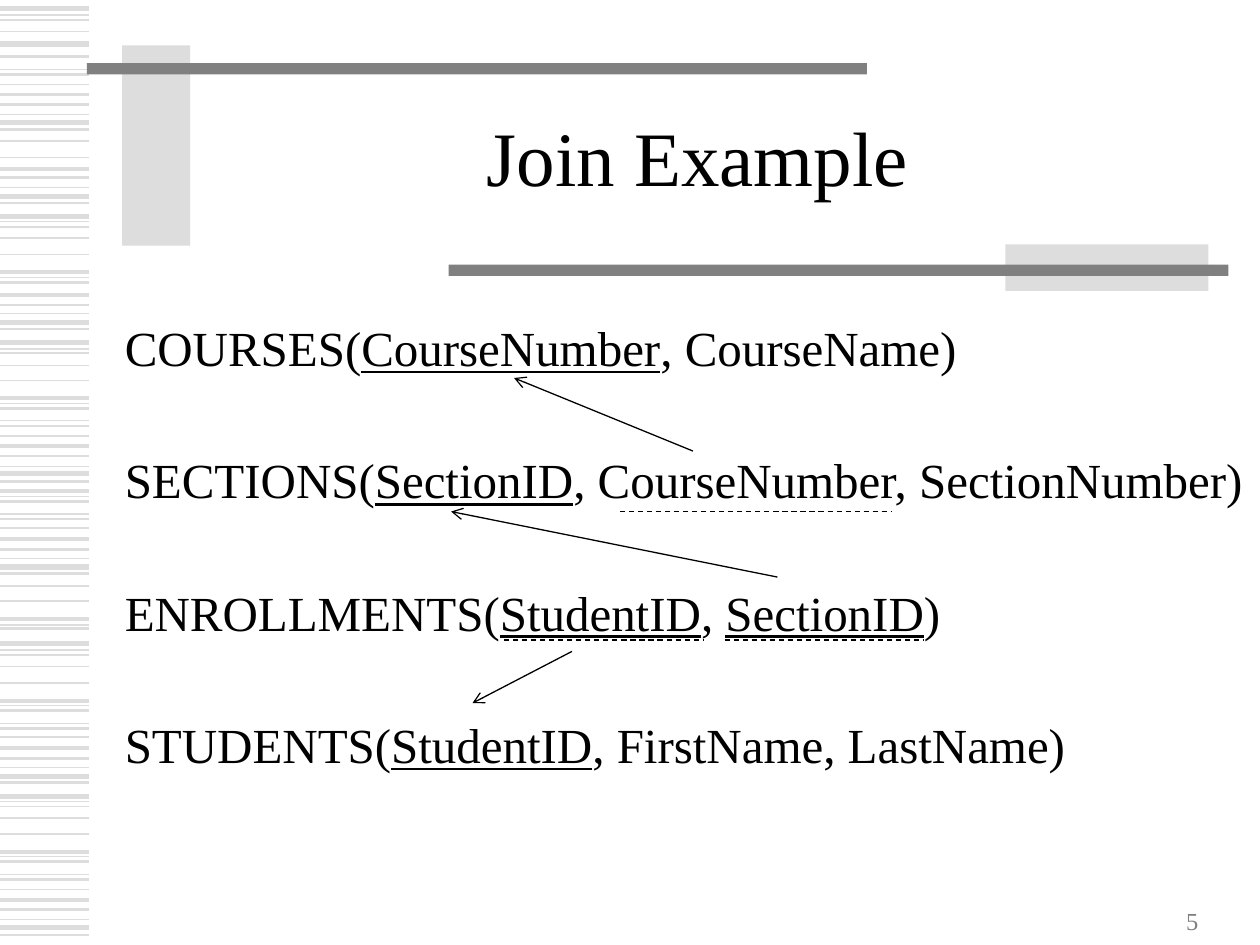
from lxml import etree
from pptx import Presentation
from pptx.dml.color import RGBColor
from pptx.enum.dml import MSO_LINE
from pptx.enum.shapes import MSO_CONNECTOR, MSO_SHAPE
from pptx.enum.text import MSO_ANCHOR, MSO_AUTO_SIZE, PP_ALIGN
from pptx.oxml.ns import qn
from pptx.util import Inches, Pt

STRAIGHT = MSO_CONNECTOR.STRAIGHT
RECTANGLE = MSO_SHAPE.RECTANGLE
DASH = MSO_LINE.DASH
MIDDLE, TOP, BOTTOM = MSO_ANCHOR.MIDDLE, MSO_ANCHOR.TOP, MSO_ANCHOR.BOTTOM
CENTER, LEFT, RIGHT = PP_ALIGN.CENTER, PP_ALIGN.LEFT, PP_ALIGN.RIGHT
FIXED_SIZE = MSO_AUTO_SIZE.NONE

FONT = "Times New Roman"
COLORS = {"text": "000000", "pale": "DDDDDD", "bar": "808080"}

STRIPES = {
    0.75: [0.12, 0.55, 0.91, 1.49, 1.76, 2.2, 2.49, 2.77, 3.2, 3.34, 3.7, 3.94,
           4.08, 4.43, 4.96, 5.16, 5.6, 5.74, 6.09, 6.36, 6.8, 6.94, 7.3],
    1: [0.16, 0.25, 0.67, 1.12, 1.25, 1.8, 1.89, 2.02, 2.8, 2.9, 3.02, 3.46,
        4.19, 4.65, 4.77, 5.2, 5.29, 5.42, 5.85, 6.4, 6.49, 6.62, 7.06],
    1.5: [0.45, 0.59, 0.83, 1.03, 1.41, 1.61, 2.24, 2.42, 2.61, 3.24, 3.38,
          3.62, 3.82, 3.98, 4.12, 4.36, 4.55, 4.99, 5.64, 5.78, 6.02, 6.21,
          6.84, 6.98, 7.22, 7.42],
    2.25: [0.75, 1.34, 2.16, 2.34, 3.16, 3.54, 3.9, 4.28, 4.91, 5.56, 5.94,
           6.76, 7.14],
    3: [0.07, 0.35, 0.97, 1.56, 1.72, 2.56, 2.72, 3.76, 4.5, 5.11, 6.16, 6.32,
        7.36],
}
FRAME = [
    ((0.97, 0.36, 0.54, 1.59), "pale"),
    ((0.69, 0.5, 6.19, 0.09), "bar"),
    ((7.98, 1.94, 1.61, 0.37), "pale"),
    ((3.56, 2.1, 6.19, 0.09), "bar"),
]
RELATIONS = [
    ("COURSES(", "CourseNumber", ", CourseName)"),
    ("SECTIONS(", "SectionID", ", CourseNumber, SectionNumber)"),
    ("ENROLLMENTS(", "StudentID", ", ", "SectionID", ")"),
    ("STUDENTS(", "StudentID", ", FirstName, LastName)"),
]
FOREIGN_KEYS = [(4.92, 7.08, 4.06), (4, 5.58, 5.08), (5.75, 7.33, 5.08)]
REFERENCES = [
    ((5.5, 3.58), (4.08, 3)),
    ((6.17, 4.58), (3.58, 4.06)),
    ((4.54, 5.17), (3.75, 5.58)),
]


def color(name):
    """Return the named colour."""
    return RGBColor.from_string(COLORS[name])


def place(shape, box):
    """Move and size a shape to a box in inches."""
    shape.left, shape.top, shape.width, shape.height = map(Inches, box)


def style_paragraph(paragraph, size, color_name, alignment):
    """Set the font and alignment of a paragraph."""
    paragraph.font.name = FONT
    paragraph.font.size = Pt(size)
    paragraph.font.color.rgb = color(color_name)
    paragraph.alignment = alignment


def add_line(shapes, start, end, color_name, weight=0.75):
    """Draw a straight line without a shadow."""
    line = shapes.add_connector(STRAIGHT, *map(Inches, (*start, *end)))
    line.line.color.rgb = color(color_name)
    line.line.width = Pt(weight)
    etree.SubElement(line._element.spPr, qn("a:effectLst"))
    return line


def add_stripes(slide, left, width):
    """Draw the striped band down one side of the slide."""
    group = slide.shapes.add_group_shape()
    for weight, heights in STRIPES.items():
        for y in heights:
            add_line(group.shapes, (left, y), (left + width, y), "pale", weight)


def add_frame(slide):
    """Draw the blocks and bars around the title."""
    for box, color_name in FRAME:
        block = slide.shapes.add_shape(RECTANGLE, *map(Inches, box))
        block.shadow.inherit = False
        block.fill.solid()
        block.fill.fore_color.rgb = color(color_name)
        block.line.fill.background()


def fill_title(slide, box):
    """Write the slide title."""
    title = slide.shapes.title
    place(title, box)
    frame = title.text_frame
    frame.text = "Join Example"
    frame.auto_size = FIXED_SIZE
    frame.vertical_anchor = MIDDLE
    style_paragraph(frame.paragraphs[0], 44, "text", CENTER)
    frame.paragraphs[0].line_spacing = 0.85


def fill_relations(slide, box):
    """List the relations with their primary keys underlined."""
    body = slide.placeholders[1]
    place(body, box)
    frame = body.text_frame
    frame.auto_size = FIXED_SIZE
    frame.vertical_anchor = TOP
    frame.margin_left = frame.margin_top = Inches(0.1)
    frame.margin_right = 0
    for index, parts in enumerate(RELATIONS):
        paragraph = frame.add_paragraph() if index else frame.paragraphs[0]
        style_paragraph(paragraph, 28, "text", LEFT)
        paragraph.space_before = Pt(0)
        paragraph.space_after = Pt(42)
        properties = paragraph._p.get_or_add_pPr()
        properties.set("marL", "0")
        properties.set("indent", "0")
        properties.insert_element_before(
            properties.makeelement(qn("a:buNone")), "a:tabLst", "a:defRPr")
        for position, part in enumerate(parts):
            run = paragraph.add_run()
            run.text = part
            if position % 2:
                run.font.underline = True


def add_slide_number(slide, box):
    """Write the slide number."""
    frame = slide.shapes.add_textbox(*map(Inches, box)).text_frame
    frame.word_wrap = True
    frame.vertical_anchor = BOTTOM
    frame.text = "5"
    style_paragraph(frame.paragraphs[0], 14, "bar", RIGHT)


def add_key_links(slide):
    """Mark the foreign keys and point them at the keys they refer to."""
    for left, right, y in FOREIGN_KEYS:
        underline = add_line(slide.shapes, (left, y), (right, y), "text")
        underline.line.dash_style = DASH
    for start, end in REFERENCES:
        arrow = add_line(slide.shapes, start, end, "text")
        etree.SubElement(arrow.line._get_or_add_ln(), qn("a:tailEnd"), type="arrow")


def main():
    """Build and save the slide."""
    presentation = Presentation()
    presentation.slide_width = Inches(10)
    presentation.slide_height = Inches(7.5)
    slide = presentation.slides.add_slide(presentation.slide_layouts[1])
    add_stripes(slide, 0, 0.71)
    add_frame(slide)
    fill_title(slide, (1.5, 0.67, 8.07, 1.25))
    fill_relations(slide, (0.89, 2.42, 9.11, 4.24))
    add_slide_number(slide, (7.21, 6.97, 2.4, 0.5))
    add_key_links(slide)
    presentation.save("out.pptx")


if __name__ == "__main__":
    main()
